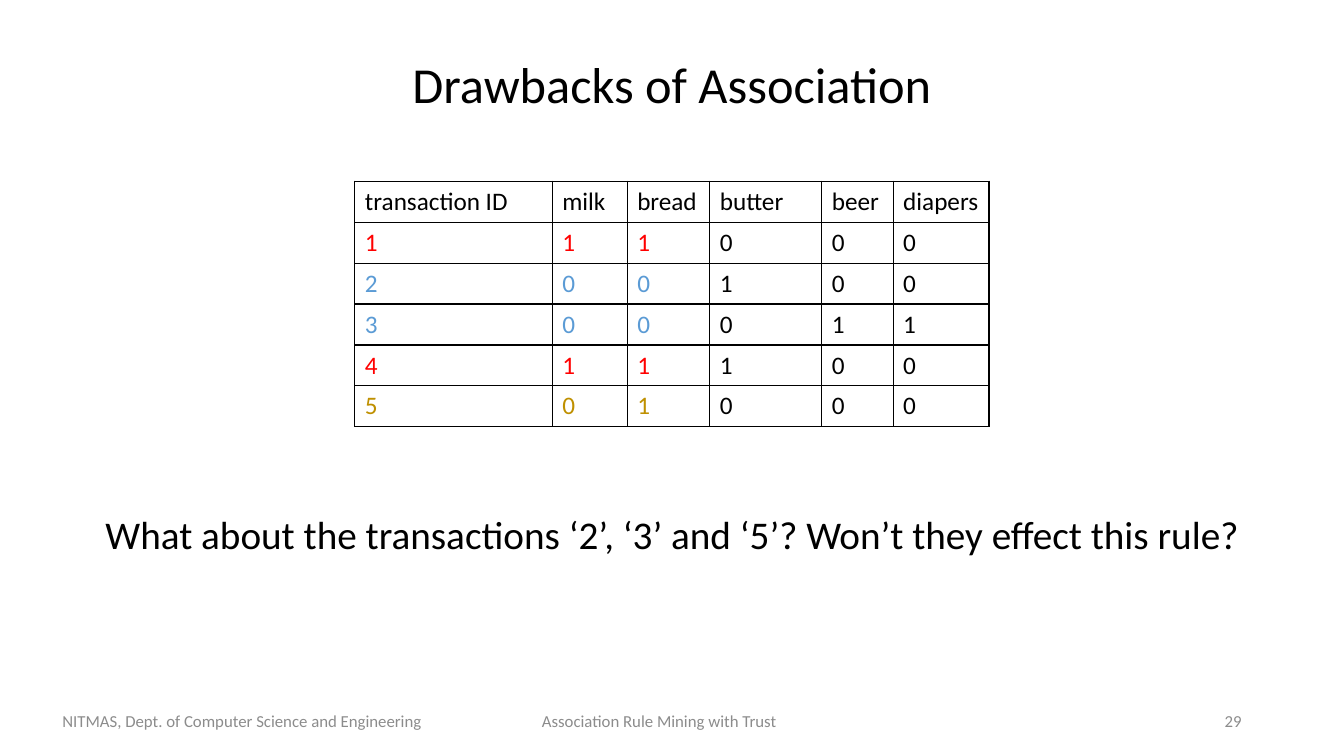
from lxml.etree import SubElement
from pptx import Presentation
from pptx.dml.color import RGBColor
from pptx.enum.text import MSO_ANCHOR, MSO_AUTO_SIZE, PP_ALIGN
from pptx.oxml.ns import qn
from pptx.util import Pt

BLACK = RGBColor(0x00, 0x00, 0x00)
GRAY = RGBColor(0x8C, 0x8C, 0x8C)
RED = RGBColor(0xFF, 0x00, 0x00)
BLUE = RGBColor(0x5B, 0x9B, 0xD5)
GOLD = RGBColor(0xBF, 0x90, 0x00)

SLIDE_WIDTH = 960
SLIDE_HEIGHT = 540
ITEMS = ["transaction ID", "milk", "bread", "butter", "beer", "diapers"]
COLUMN_WIDTHS = [141, 53.5, 59, 80, 51, 68.5]
ROW_HEIGHT = 29.25
RULE_COLUMNS = 3
BASKETS = [
    ("11000", RED),
    ("00100", BLUE),
    ("00011", BLUE),
    ("11100", RED),
    ("01000", GOLD),
]


class SlideBuilder:
    font = "Calibri"

    def __init__(self, slide):
        self.slide = slide

    def set_text(self, frame, text, size, color, align=PP_ALIGN.LEFT, anchor=MSO_ANCHOR.MIDDLE):
        frame.word_wrap = True
        frame.vertical_anchor = anchor
        paragraph = frame.paragraphs[0]
        paragraph.alignment = align
        self.add_run(paragraph, text, size, color)
        return paragraph

    def add_run(self, paragraph, text, size, color):
        run = paragraph.add_run()
        run.text = text
        run.font.name = self.font
        run.font.size = Pt(size)
        run.font.color.rgb = color

    def place(self, holder, left, top, width, height):
        holder.left, holder.top = Pt(left), Pt(top)
        holder.width, holder.height = Pt(width), Pt(height)
        holder.text_frame.auto_size = MSO_AUTO_SIZE.NONE

    def title(self, text, top, height):
        heading = self.slide.shapes.title
        self.place(heading, 0, top, SLIDE_WIDTH, height)
        paragraph = self.set_text(heading.text_frame, text, 36, BLACK, PP_ALIGN.CENTER)
        paragraph.line_spacing = 0.9

    def body(self, text, top, height):
        question = self.slide.placeholders[1]
        self.place(question, 0, top, SLIDE_WIDTH, height)
        paragraph = self.set_text(
            question.text_frame, text, 28, BLACK, PP_ALIGN.CENTER, MSO_ANCHOR.TOP
        )
        paragraph.line_spacing = 0.9
        paragraph.space_before = Pt(10)
        properties = paragraph._p.get_or_add_pPr()
        properties.set("marL", "0")
        properties.set("indent", "0")
        SubElement(properties, qn("a:buNone"))

    def footer(self, text, left, width, align=PP_ALIGN.LEFT, tab=None):
        note = self.slide.shapes.add_textbox(Pt(left), Pt(500.5), Pt(width), Pt(28.75))
        paragraph = self.set_text(note.text_frame, text, 12, GRAY, align)
        if tab:
            stops = SubElement(paragraph._p.get_or_add_pPr(), qn("a:tabLst"))
            SubElement(stops, qn("a:tab"), pos=str(Pt(tab)), algn="l")

    def border(self, cell):
        properties = cell._tc.get_or_add_tcPr()
        for position, side in enumerate(("a:lnL", "a:lnR", "a:lnT", "a:lnB")):
            line = SubElement(properties, qn(side), w=str(Pt(1)))
            fill = SubElement(line, qn("a:solidFill"))
            SubElement(fill, qn("a:srgbClr"), val=str(BLACK))
            properties.remove(line)
            properties.insert(position, line)

    def table(self, rows, left, top):
        grid = self.slide.shapes.add_table(
            len(rows), len(COLUMN_WIDTHS), Pt(left), Pt(top),
            Pt(sum(COLUMN_WIDTHS)), Pt(ROW_HEIGHT * len(rows)),
        ).table
        grid.first_row = False
        grid.horz_banding = False
        for column, width in zip(grid.columns, COLUMN_WIDTHS):
            column.width = Pt(width)
        for row, (values, highlight) in zip(grid.rows, rows):
            row.height = Pt(ROW_HEIGHT)
            for index, (cell, value) in enumerate(zip(row.cells, values)):
                cell.fill.background()
                cell.vertical_anchor = MSO_ANCHOR.MIDDLE
                color = highlight if index < RULE_COLUMNS else BLACK
                self.add_run(cell.text_frame.paragraphs[0], value, 18, color)
                self.border(cell)


def main():
    deck = Presentation()
    deck.slide_width, deck.slide_height = Pt(SLIDE_WIDTH), Pt(SLIDE_HEIGHT)
    builder = SlideBuilder(deck.slides.add_slide(deck.slide_layouts[1]))

    builder.title("Drawbacks of Association", 19.5, 85)
    transactions = [
        ([str(number), *basket], color)
        for number, (basket, color) in enumerate(BASKETS, start=1)
    ]
    builder.table([(ITEMS, BLACK), *transactions], 253.5, 129.5)
    builder.body(
        "What about the transactions ‘2’, ‘3’ and ‘5’? Won’t they effect this rule?", 365, 71.25
    )
    builder.footer(
        "NITMAS, Dept. of Computer Science and Engineering\tAssociation Rule Mining with Trust",
        37.5, 885.5, tab=342.5,
    )
    builder.footer("29", 678, 216, PP_ALIGN.RIGHT)

    deck.save("out.pptx")


if __name__ == "__main__":
    main()
